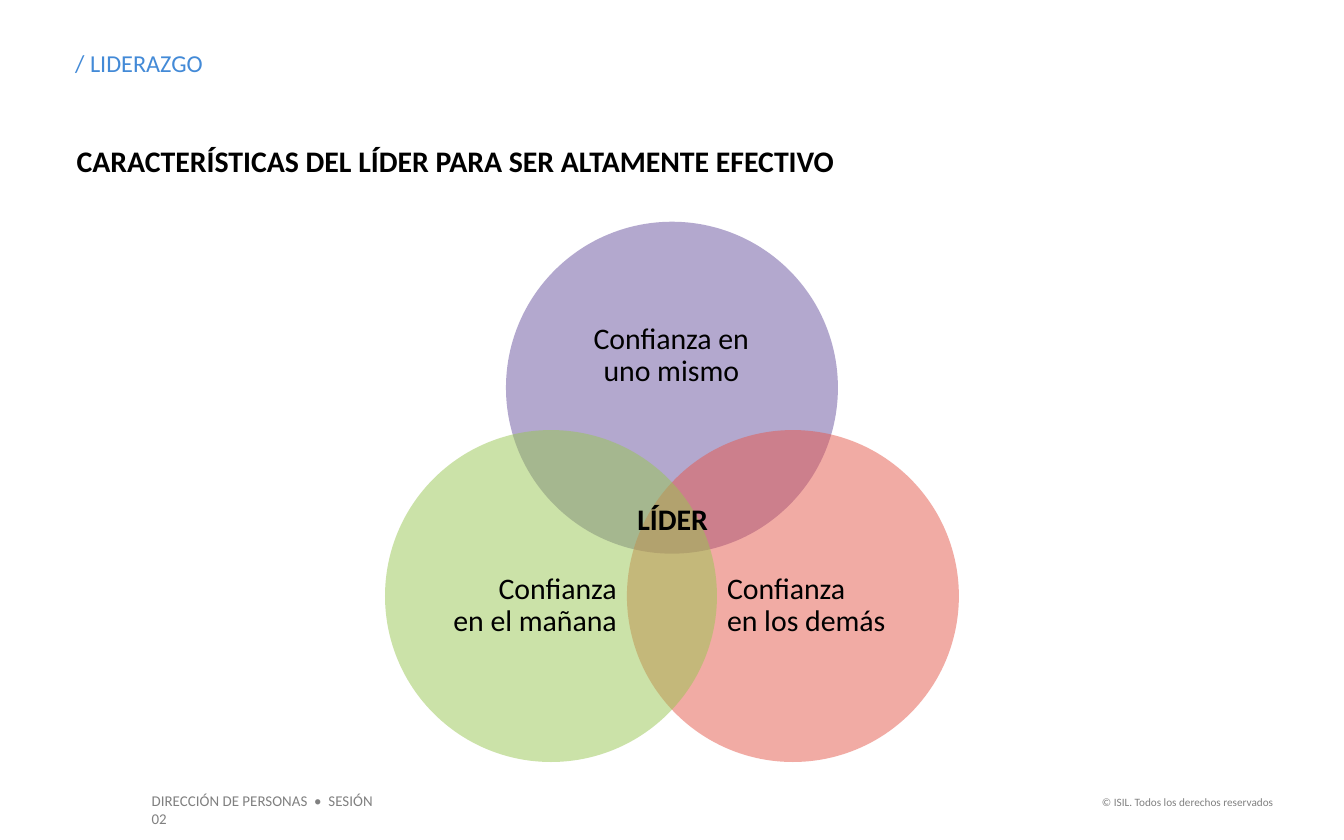
from lxml import etree
from pptx import Presentation
from pptx.dml.color import RGBColor
from pptx.enum.shapes import MSO_SHAPE as Shape
from pptx.enum.text import MSO_ANCHOR as Anchor, PP_ALIGN as Align
from pptx.oxml.ns import qn
from pptx.util import Inches, Pt

FONT = "Calibri"
COLORS = {
    "black": "000000",
    "gray": "808080",
    "blue": "438AD7",
    "purple": "68529F",
    "red": "E5584B",
    "green": "99C652",
}
DIAMETER = 2.47
CENTER_X = 5
SIDE_SHIFT = 0.9
TOP_ROW, BOTTOM_ROW = 1.65, 3.2


def add_text(page, text, place, size, color="black", bold=False,
             align=Align.LEFT, anchor=Anchor.TOP, inset=True, spacing=None):
    """Add a one-paragraph text box; a vertical tab in text breaks the line."""
    box = page.shapes.add_textbox(*map(Inches, place))
    frame = box.text_frame
    frame.word_wrap = True
    frame.vertical_anchor = anchor
    if not inset:
        frame.margin_left = frame.margin_right = 0
        frame.margin_top = frame.margin_bottom = 0
    para = frame.paragraphs[0]
    para.text = text
    para.alignment = align
    if spacing:
        para.line_spacing = spacing
    para.font.name = FONT
    para.font.size = Pt(size)
    para.font.bold = bold
    para.font.color.rgb = RGBColor.from_string(COLORS[color])


def add_circle(page, shift, top, color):
    """Add a half-transparent circle, shifted sideways from the centre."""
    left = CENTER_X + shift - DIAMETER / 2
    circle = page.shapes.add_shape(Shape.OVAL, Inches(left), Inches(top),
                                   Inches(DIAMETER), Inches(DIAMETER))
    circle.shadow.inherit = False
    circle.line.fill.background()
    circle.fill.solid()
    circle.fill.fore_color.rgb = RGBColor.from_string(COLORS[color])
    tint = circle.fill._xPr.find(qn("a:solidFill"))[0]
    etree.SubElement(tint, qn("a:alpha")).set("val", "50000")


def add_venn(page):
    sets = [
        (0, TOP_ROW, "purple", "Confianza en\vuno mismo",
         (4.09, 2.09, 1.81, 1.11), Align.CENTER),
        (SIDE_SHIFT, BOTTOM_ROW, "red", "Confianza\ven los demás",
         (5.41, 3.83, 1.48, 1.36), Align.LEFT),
        (-SIDE_SHIFT, BOTTOM_ROW, "green", "Confianza\ven el mañana",
         (3.11, 3.83, 1.48, 1.36), Align.RIGHT),
    ]
    for shift, top, color, label, place, align in sets:
        add_circle(page, shift, top, color)
        add_text(page, label, place, 16, align=align, anchor=Anchor.MIDDLE,
                 inset=False, spacing=0.9)
    add_text(page, "LÍDER", (4.45, 3.68, 1.11, 0.37), 16, bold=True,
             align=Align.CENTER)


def main():
    deck = Presentation()
    deck.slide_width, deck.slide_height = Inches(10), Inches(6.25)
    page = deck.slides.add_slide(deck.slide_layouts[6])

    add_text(page, "DIRECCIÓN DE PERSONAS  •  SESIÓN 02",
             (1.03, 5.84, 1.98, 0.24), 8, "gray")
    add_text(page, "© ISIL. Todos los derechos reservados",
             (8.05, 5.87, 1.52, 0.2), 6, "gray", align=Align.RIGHT)
    add_text(page, "CARACTERÍSTICAS DEL LÍDER PARA SER ALTAMENTE EFECTIVO",
             (0.57, 1.06, 8.88, 0.27), 16, bold=True, inset=False)
    add_venn(page)
    add_text(page, "/ LIDERAZGO", (0.56, 0.36, 4.28, 0.22), 13, "blue",
             inset=False)

    deck.save("out.pptx")


if __name__ == "__main__":
    main()
